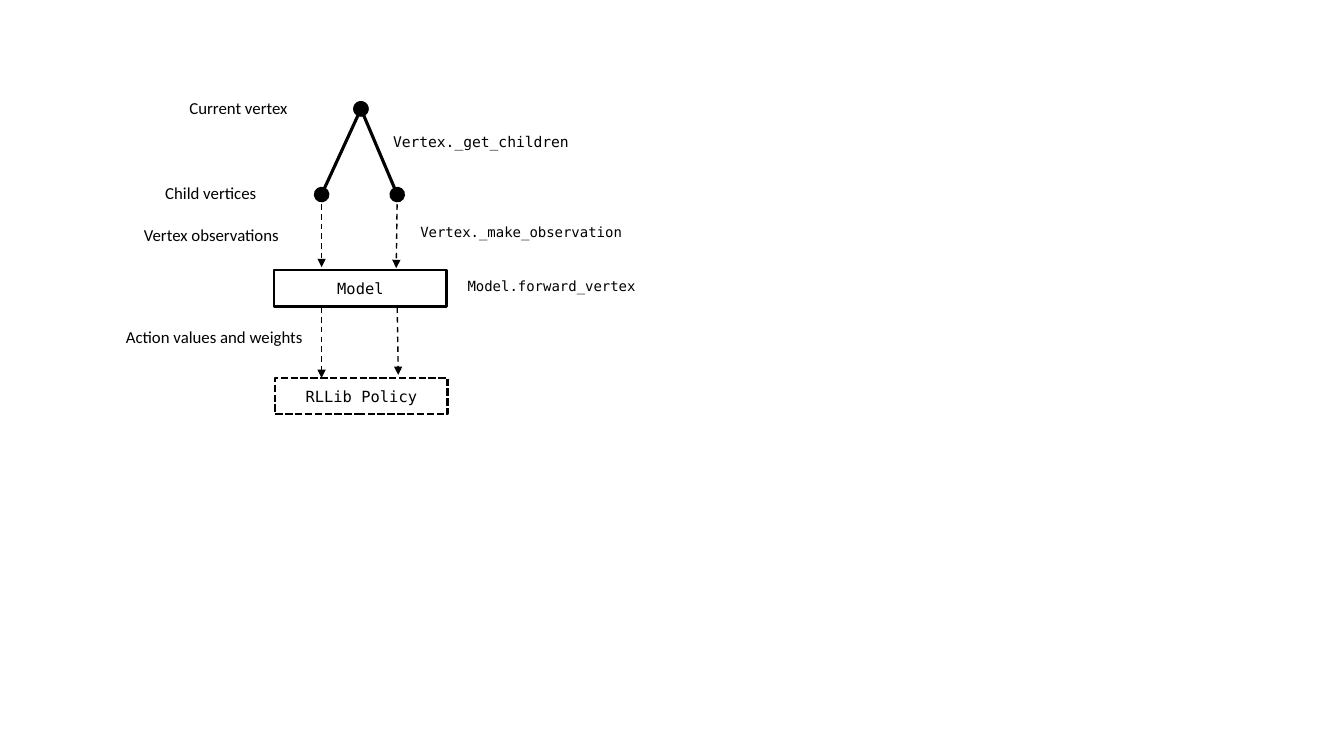
from typing import NamedTuple, Optional

from lxml import etree
from pptx import Presentation
from pptx.dml import color
from pptx.enum import dml, shapes, text
from pptx.oxml import ns
from pptx import util as u

COLORS = {"ink": "000000"}
SANS, MONO = "Calibri", "DejaVu Sans Mono"
DASH = dml.MSO_LINE


class Link(NamedTuple):
    start: tuple[float, float]
    end: tuple[float, float]


class Label(NamedTuple):
    words: str
    left: float
    top: float
    width: float
    height: float
    font: str = SANS
    size: float = 12


class Box(NamedTuple):
    words: str
    left: float
    top: float
    dash: Optional[dml.MSO_LINE] = None


def set_all(target: object, values: dict) -> None:
    for name, value in values.items():
        setattr(target, name, value)


def ink() -> color.RGBColor:
    return color.RGBColor.from_string(COLORS["ink"])


def style_line(line, width: float, dash: Optional[dml.MSO_LINE]) -> None:
    line.color.rgb = ink()
    set_all(line, {"width": u.Pt(width), "dash_style": dash})


def write(tf, words: str, font: str, size: float, align=None) -> None:
    p = tf.paragraphs[0]
    p.alignment = align
    r = p.add_run()
    r.text = words
    set_all(r.font, {"name": font, "size": u.Pt(size)})
    r.font.color.rgb = ink()


def add_link(s, link: Link, width: float, dash: Optional[dml.MSO_LINE],
             ends: dict[str, dict[str, str]]) -> None:
    c = s.shapes.add_connector(shapes.MSO_CONNECTOR.STRAIGHT,
                               *map(u.Inches, link.start + link.end))
    style_line(c.line, width, dash)
    ln = c.line._get_or_add_ln()
    for tag, values in ends.items():
        etree.SubElement(ln, ns.qn(tag), values)
    etree.SubElement(c._element.spPr, ns.qn("a:effectLst"))


def add_label(s, label: Label) -> None:
    tf = s.shapes.add_textbox(*map(u.Inches, label[1:5])).text_frame
    set_all(tf, {"word_wrap": False,
                 "auto_size": text.MSO_AUTO_SIZE.SHAPE_TO_FIT_TEXT})
    write(tf, label.words, label.font, label.size)


def add_box(s, box: Box) -> None:
    sp = s.shapes.add_shape(
        shapes.MSO_SHAPE.RECTANGLE,
        *map(u.Inches, (box.left, box.top, 1.71, 0.36)))
    sp.shadow.inherit = False
    sp.fill.background()
    style_line(sp.line, 1.75, box.dash)
    sp.text_frame.vertical_anchor = text.MSO_ANCHOR.MIDDLE
    write(sp.text_frame, box.words, MONO, 11, text.PP_ALIGN.CENTER)


ROOT, LEFT_CHILD, RIGHT_CHILD = (3.58, 1.08), (3.19, 1.93), (3.94, 1.93)
BRANCHES = [Link(ROOT, LEFT_CHILD), Link(ROOT, RIGHT_CHILD)]
FLOWS = [
    Link(LEFT_CHILD, (3.19, 2.65)),
    Link(RIGHT_CHILD, (3.93, 2.66)),
    Link((3.94, 3.05), (3.95, 3.72)),
    Link((3.19, 3.05), (3.19, 3.75)),
]
BOXES = [Box("Model", 2.72, 2.68),
         Box("RLLib Policy", 2.73, 3.75, DASH.SQUARE_DOT)]
LABELS = [
    Label("Current vertex", 1.78, 0.92, 1.18, 0.3),
    Label("Child vertices", 1.54, 1.76, 1.12, 0.3),
    Label("Vertex observations", 1.33, 2.18, 1.56, 0.3),
    Label("Action values and weights", 1.15, 3.19, 1.98, 0.3),
    Label("Vertex._get_children", 3.8, 1.27, 1.96, 0.28, MONO, 10.5),
    Label("Vertex._make_observation", 4.07, 2.17, 2.22, 0.27, MONO, 10),
]


def main() -> None:
    prs = Presentation()
    set_all(prs, {"slide_width": u.Inches(13.33),
                  "slide_height": u.Inches(7.5)})
    s = prs.slides.add_slide(prs.slide_layouts[6])

    # Tree of vertices, with a dot at each branch end
    dot = {"type": "oval", "w": "lg", "len": "lg"}
    for branch in BRANCHES:
        add_link(s, branch, 2.25, None, {"a:headEnd": dot, "a:tailEnd": dot})

    # Data flow
    for flow in FLOWS:
        add_link(s, flow, 1, DASH.DASH, {"a:tailEnd": {"type": "triangle"}})

    # Model and policy
    for box in BOXES:
        add_box(s, box)

    # Step names and methods
    for label in LABELS:
        add_label(s, label)

    # Method beside the model, centred in its box
    tf = s.shapes.add_textbox(
        *map(u.Inches, (4.07, 2.66, 2.8, 0.36))).text_frame
    set_all(tf, {"word_wrap": True,
                 "vertical_anchor": text.MSO_ANCHOR.MIDDLE})
    write(tf, "Model.forward_vertex", MONO, 10, text.PP_ALIGN.CENTER)

    prs.save("out.pptx")


if __name__ == "__main__":
    main()
